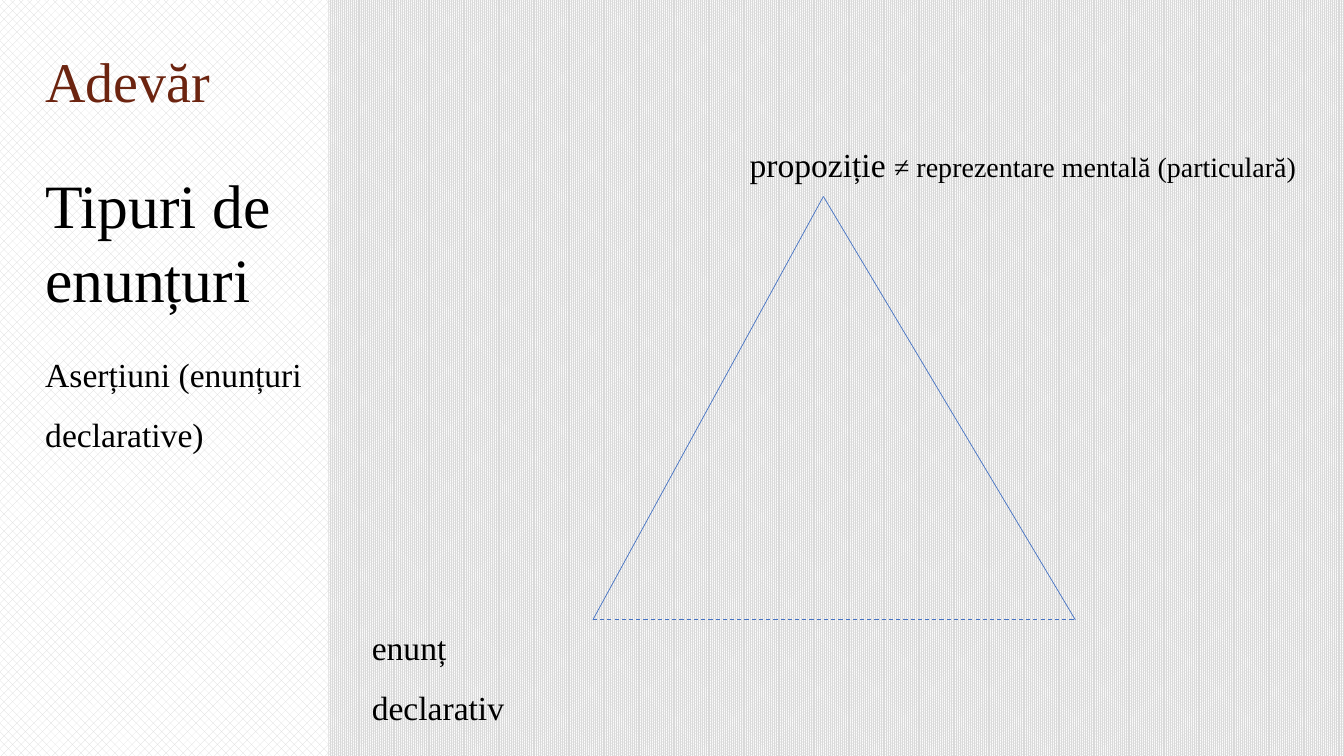
from pptx import Presentation
from pptx.dml.color import RGBColor
from pptx.enum.dml import MSO_LINE, MSO_PATTERN
from pptx.enum.shapes import MSO_CONNECTOR, MSO_SHAPE
from pptx.enum.text import MSO_AUTO_SIZE
from pptx.oxml.ns import qn
from pptx.util import Cm, Pt
from lxml import etree

BLACK = RGBColor(0x00, 0x00, 0x00)
WHITE = RGBColor(0xFF, 0xFF, 0xFF)
GREY = RGBColor(0xD9, 0xD9, 0xD9)
BROWN = RGBColor(0x6C, 0x24, 0x10)
BLUE = RGBColor(0x44, 0x72, 0xC4)
FONT = "Times New Roman"

# Content: (left, top, width, height) in cm, runs of (text, size), format
MARGIN = 0.89
TEXTS = [
    ((MARGIN, 4.09, 7.39, 4.01), [("Tipuri de enunțuri", 44)], {}),
    ((MARGIN, 1.04, 22.3, 1.96), [("Adevăr", 40)], {"color": BROWN}),
    ((MARGIN, 8.28, 7.54, 3.2), [("Aserțiuni (enunțuri declarative)", 24)],
     {"spacing": 1.5}),
    ((9.12, 15.16, 5.82, 1.68), [("enunț declarativ", 24)], {"spacing": 1.5}),
    ((18.64, 3.0, 16.03, 1.68),
     [("propoziție ", 24), ("≠ reprezentare mentală (particulară)", 20)],
     {"spacing": 1.5}),
]

# Triangle corners in cm, and its sides as (from, to, width, dash)
STATEMENT, PROPOSITION, FACT = (14.94, 15.62), (20.75, 4.95), (27.1, 15.62)
SIDES = [
    (STATEMENT, PROPOSITION, 0.5, None),
    (PROPOSITION, FACT, 0.5, None),
    (STATEMENT, FACT, 0.75, MSO_LINE.DASH),
]


def set_pattern(fill, preset):
    fill.patterned()
    fill.pattern = MSO_PATTERN.from_xml(preset)
    fill.fore_color.rgb = GREY
    fill.back_color.rgb = WHITE


def add_text(box, runs, color=BLACK, spacing=None):
    shape = slide.shapes.add_textbox(*map(Cm, box))
    frame = shape.text_frame
    frame.word_wrap = True
    frame.auto_size = MSO_AUTO_SIZE.SHAPE_TO_FIT_TEXT
    paragraph = frame.paragraphs[0]
    if spacing:
        paragraph.line_spacing = spacing
    for text, size in runs:
        run = paragraph.add_run()
        run.text = text
        run.font.name = FONT
        run.font.size = Pt(size)
        run.font.color.rgb = color


def add_side(start, end, width, dash):
    side = slide.shapes.add_connector(
        MSO_CONNECTOR.STRAIGHT, *map(Cm, start + end))
    side.line.color.rgb = BLUE
    side.line.width = Pt(width)
    if dash:
        side.line.dash_style = dash
    etree.SubElement(side._element.spPr, qn("a:effectLst"))


presentation = Presentation()
presentation.slide_width, presentation.slide_height = Cm(33.87), Cm(19.05)
slide = presentation.slides.add_slide(presentation.slide_layouts[6])

# Background and side panel
set_pattern(slide.background.fill, "pct90")
panel = slide.shapes.add_shape(
    MSO_SHAPE.RECTANGLE, Cm(0), Cm(-0.05), Cm(8.28), Cm(19.1))
panel.shadow.inherit = False
panel.line.fill.background()
set_pattern(panel.fill, "pct40")

# Triangle
for side in SIDES:
    add_side(*side)

# Headings and corner labels
for box, runs, text_format in TEXTS:
    add_text(box, runs, **text_format)

presentation.save("out.pptx")
